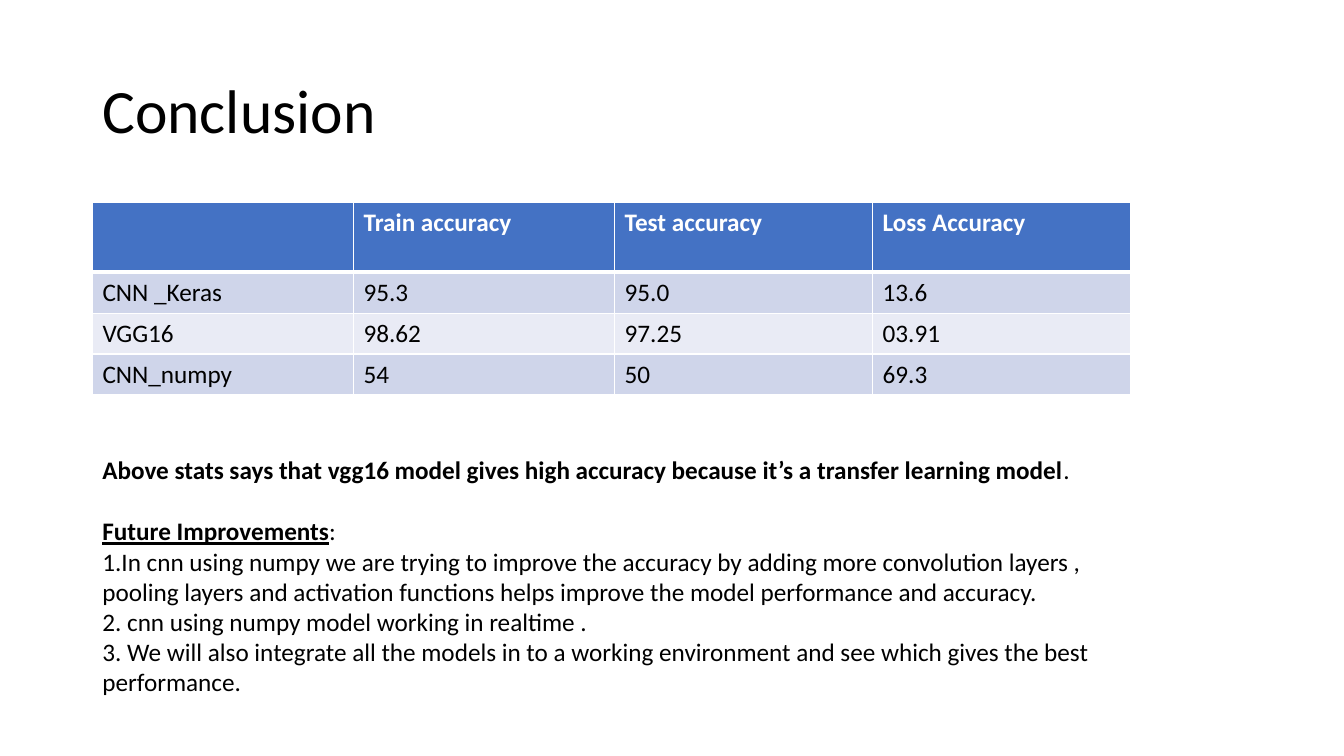
from lxml import etree
from pptx import Presentation
from pptx.dml.color import RGBColor
from pptx.enum import text
from pptx.oxml import ns
from pptx.util import Cm, Pt

COLORS = {"ink": "000000", "paper": "FFFFFF", "header": "4472C4",
          "band_dark": "CFD5EA", "band_light": "E9EBF5"}
FONT = "Calibri"
LEFT = 2.33

RESULTS = [
    ["", "Train accuracy", "Test accuracy", "Loss Accuracy"],
    ["CNN _Keras", "95.3", "95.0", "13.6"],
    ["VGG16", "98.62", "97.25", "03.91"],
    ["CNN_numpy", "54", "50", "69.3"],
]
COLUMN_WIDTHS = [6.58, 6.58, 6.5, 6.5]
HEADER_HEIGHT, ROW_HEIGHT = 1.77, 1.03

# Each paragraph is a list of (words, bold, underline)
FINDINGS = [
    [("Above stats says that vgg16 model gives high accuracy because it’s a transfer learning model",
      True, False), (".", False, False)],
    [("Future Improvements", True, True), (":", False, False)],
    [("1.In cnn using numpy we are trying to improve the accuracy by adding more convolution layers , "
      "pooling layers and activation functions helps improve the model performance and accuracy.",
      False, False)],
    [("2. cnn using numpy model working in realtime .", False, False)],
    [("3. We will also integrate all the models in to a working environment and see which gives the best "
      "performance.", False, False)],
]


def style_font(font, size, color, bold=False, underline=False):
    font.name = FONT
    font.size = Pt(size)
    font.bold = bold
    font.underline = underline
    font.color.rgb = RGBColor.from_string(COLORS[color])


def add_border(cell, side, width):
    properties = cell._tc.get_or_add_tcPr()
    line = etree.SubElement(properties, ns.qn(f"a:ln{side}"), w=str(Pt(width)))
    fill = etree.SubElement(line, ns.qn("a:solidFill"))
    etree.SubElement(fill, ns.qn("a:srgbClr"), val=COLORS["paper"])


def add_text_box(page, left, top, width, height):
    box = page.shapes.add_textbox(Cm(left), Cm(top), Cm(width), Cm(height))
    box.text_frame.word_wrap = True
    return box.text_frame


def add_title(page, left, top, width, height):
    frame = add_text_box(page, left, top, width, height)
    frame.vertical_anchor = text.MSO_ANCHOR.MIDDLE
    frame.text = "Conclusion"
    para = frame.paragraphs[0]
    para.line_spacing = 0.9
    style_font(para.runs[0].font, 44, "ink")


def add_results_table(page, left, top):
    height = HEADER_HEIGHT + ROW_HEIGHT * (len(RESULTS) - 1)
    table = page.shapes.add_table(len(RESULTS), len(COLUMN_WIDTHS), Cm(left), Cm(top),
                                  Cm(sum(COLUMN_WIDTHS)), Cm(height)).table
    for column, width in zip(table.columns, COLUMN_WIDTHS):
        column.width = Cm(width)
    for r, values in enumerate(RESULTS):
        is_header = r == 0
        table.rows[r].height = Cm(HEADER_HEIGHT if is_header else ROW_HEIGHT)
        band = "header" if is_header else "band_dark" if r % 2 else "band_light"
        # The rule under the header is thicker than the grid
        borders = {"L": 1, "R": 1, "T": 3 if r == 1 else 1, "B": 3 if is_header else 1}
        for c, value in enumerate(values):
            cell = table.cell(r, c)
            for side, width in borders.items():
                add_border(cell, side, width)
            cell.fill.solid()
            cell.fill.fore_color.rgb = RGBColor.from_string(COLORS[band])
            cell.text = value
            for span in cell.text_frame.paragraphs[0].runs:
                style_font(span.font, 18, "paper" if is_header else "ink", is_header)


def add_findings(page, left, top, width, height):
    frame = add_text_box(page, left, top, width, height)
    for index, spans in enumerate(FINDINGS):
        para = frame.add_paragraph() if index else frame.paragraphs[0]
        if index == 1:
            para.space_before = Pt(22)
        for words, bold, underline in spans:
            span = para.add_run()
            span.text = words
            style_font(span.font, 18, "ink", bold, underline)


def main():
    deck = Presentation()
    deck.slide_width, deck.slide_height = Cm(33.87), Cm(19.05)
    page = deck.slides.add_slide(deck.slide_layouts[6])
    add_title(page, LEFT, 1.01, 29.21, 3.68)
    add_results_table(page, LEFT, 5.09)
    add_findings(page, LEFT, 11.33, 26.44, 6.4)
    deck.save("out.pptx")


if __name__ == "__main__":
    main()
